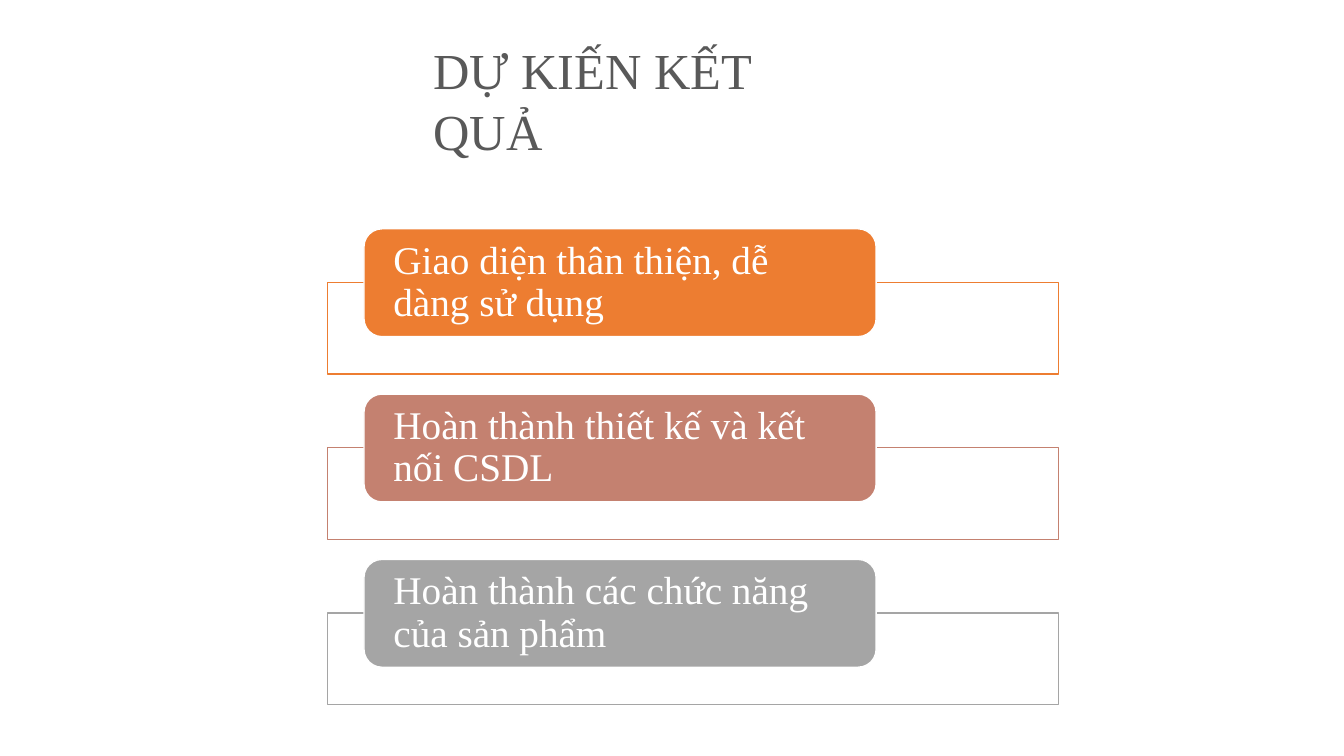
from dataclasses import dataclass

from pptx import Presentation
from pptx import util as u
from pptx.dml.color import RGBColor
from pptx.enum import shapes, text

WHITE = RGBColor(0xFF, 0xFF, 0xFF)
GRAY_TEXT = RGBColor(0x59, 0x59, 0x59)
ORANGE = RGBColor(0xED, 0x7D, 0x31)
ROSE = RGBColor(0xC4, 0x81, 0x70)
GRAY = RGBColor(0xA5, 0xA5, 0xA5)

FONT = "Times New Roman"
FIRST_TOP = 2.27
PITCH = 1.64
FRAME_OFFSET = 0.53


@dataclass
class Result:
    label: str
    color: RGBColor


RESULTS = [
    Result("Giao diện thân thiện, dễ dàng sử dụng", ORANGE),
    Result("Hoàn thành thiết kế và kết nối CSDL", ROSE),
    Result("Hoàn thành các chức năng của sản phẩm", GRAY),
]


def write(sp, content: str, size: int, color: RGBColor):
    tf = sp.text_frame
    tf.word_wrap = True
    p = tf.paragraphs[0]
    p.text = content
    p.alignment = text.PP_ALIGN.LEFT
    font = p.runs[0].font
    font.name, font.size = FONT, u.Pt(size)
    font.color.rgb = color
    return tf


def add_box(slide, kind, left: float, top: float, width: float, height: float,
            fill: RGBColor, line: RGBColor):
    sp = slide.shapes.add_shape(kind, u.Inches(left), u.Inches(top),
                                u.Inches(width), u.Inches(height))
    sp.shadow.inherit = False
    sp.fill.solid()
    sp.fill.fore_color.rgb = fill
    sp.line.color.rgb = line
    sp.line.width = u.Pt(1)
    return sp


def add_result(slide, result: Result, top: float) -> None:
    """Draw an outlined frame with the coloured label over its top edge."""
    add_box(slide, shapes.MSO_SHAPE.RECTANGLE, 3.25, top + FRAME_OFFSET,
            7.25, 0.91, WHITE, result.color)
    label = add_box(slide, shapes.MSO_SHAPE.ROUNDED_RECTANGLE, 3.61, top,
                    5.08, 1.07, result.color, WHITE)
    tf = write(label, result.label, 28, WHITE)
    tf.vertical_anchor = text.MSO_ANCHOR.MIDDLE
    tf.margin_left = tf.margin_right = u.Inches(0.24)
    tf.margin_top = tf.margin_bottom = 0
    tf.paragraphs[0].line_spacing = 0.9


def main() -> None:
    prs = Presentation()
    prs.slide_width, prs.slide_height = u.Inches(13.33), u.Inches(7.5)
    s = prs.slides.add_slide(prs.slide_layouts[6])

    title = s.shapes.add_textbox(u.Inches(4.2), u.Inches(0.34),
                                 u.Inches(4.43), u.Inches(0.71))
    write(title, "DỰ KIẾN KẾT QUẢ", 36, GRAY_TEXT)

    for i, result in enumerate(RESULTS):
        add_result(s, result, FIRST_TOP + i * PITCH)

    prs.save("out.pptx")


if __name__ == "__main__":
    main()
